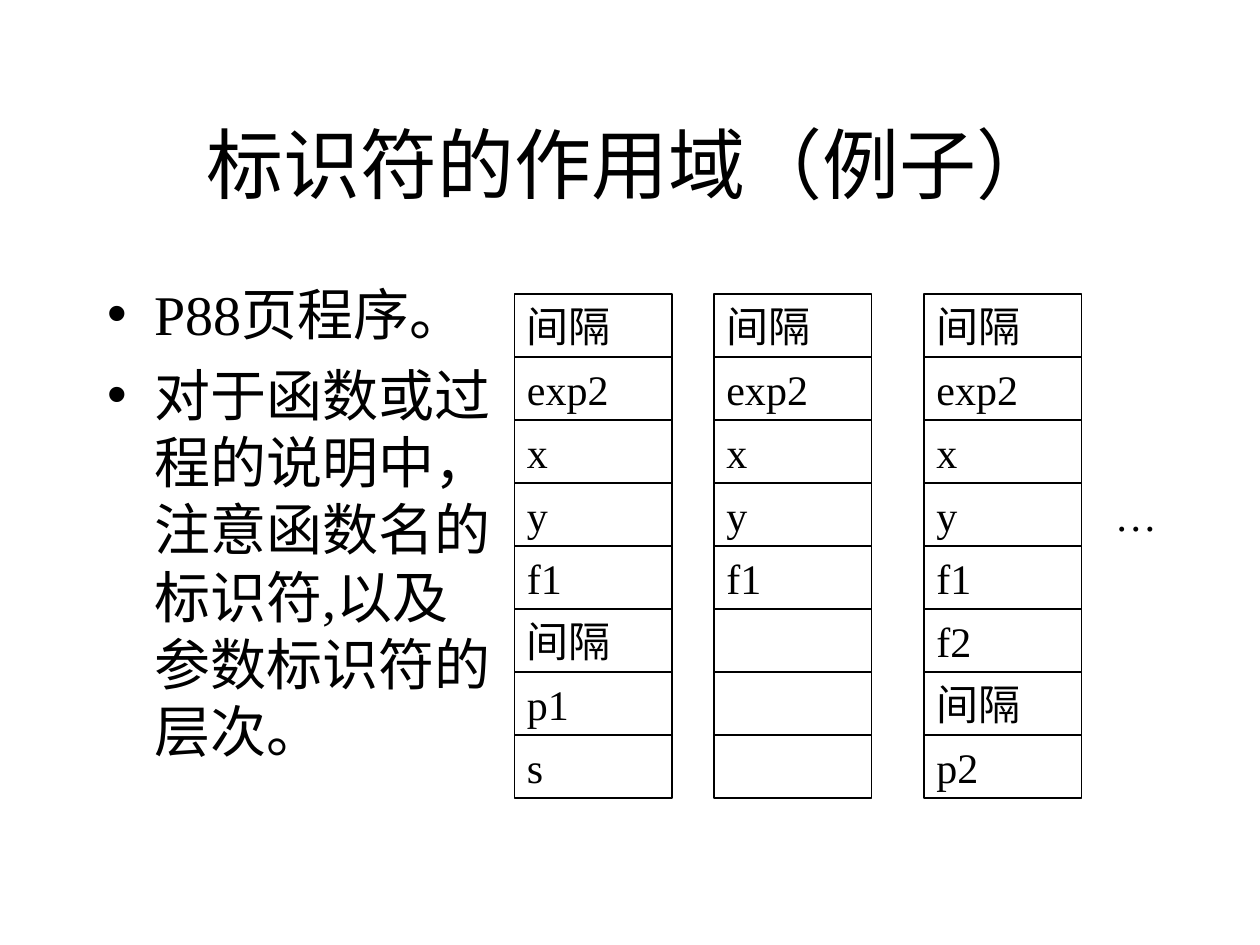
from dataclasses import dataclass
from pptx import Presentation
from pptx.dml.color import RGBColor
from pptx.enum.shapes import MSO_SHAPE
from pptx.enum.text import MSO_ANCHOR, MSO_AUTO_SIZE, PP_ALIGN
from pptx.util import Inches, Pt


@dataclass(frozen=True)
class Theme:
    ink: RGBColor = RGBColor(0, 0, 0)
    face: str = "Times New Roman"
    title: int = 44
    body: int = 32
    cell: int = 24
    line: float = 0.74


theme = Theme()
deck = Presentation()
deck.slide_width, deck.slide_height = Inches(10), Inches(7.5)
unit = deck.slide_width // 120  # grid of 120 columns by 90 rows


def place(shape, *box):
    """Set left, top, width and height in grid units."""
    for name, size in zip(("left", "top", "width", "height"), box):
        setattr(shape, name, size * unit)


def write(shape, lines, size, gap, align, anchor, fit):
    """Fill a shape with one formatted paragraph per line."""
    frame = shape.text_frame
    frame.text = "\n".join(lines)
    look = {"word_wrap": True, "auto_size": fit, "vertical_anchor": anchor}
    for name, value in look.items():
        setattr(frame, name, value)
    for para in frame.paragraphs:
        para.alignment, para.space_before = align, Pt(gap)
        for run in para.runs:
            run.font.name, run.font.size = theme.face, Pt(size)
            run.font.color.rgb = theme.ink


slide = deck.slides.add_slide(deck.slide_layouts[1])
title, body = slide.placeholders
place(title, 9, 8, 102, 15)
write(title, ["标识符的作用域（例子）"], theme.title, 0,
      PP_ALIGN.CENTER, MSO_ANCHOR.MIDDLE, MSO_AUTO_SIZE.NONE)
place(body, 9, 26, 40, 54)
write(body, ["P88页程序。", "对于函数或过程的说明中，注意函数名的标识符,以及参数标识符的层次。"],
      theme.body, 8, PP_ALIGN.LEFT, MSO_ANCHOR.TOP, MSO_AUTO_SIZE.NONE)

# Each stack lists its cells from top to bottom, keyed by its left column
base = ["间隔", "exp2", "x", "y", "f1"]
stacks = {
    49: base + ["间隔", "p1", "s"],
    68: base + ["", "", ""],
    88: base + ["f2", "间隔", "p2"],
}
top, wide, high = 28, 15, 6
style = {"size": theme.cell, "gap": 15, "align": PP_ALIGN.LEFT,
         "anchor": MSO_ANCHOR.TOP, "fit": MSO_AUTO_SIZE.SHAPE_TO_FIT_TEXT}

for left, names in stacks.items():
    stack = slide.shapes.add_group_shape()
    for row, name in enumerate(names):
        cell = stack.shapes.add_shape(MSO_SHAPE.RECTANGLE, 0, 0, unit, unit)
        place(cell, left, top + row * high, wide, high)
        cell.shadow.inherit = False
        cell.fill.background()
        cell.line.color.rgb, cell.line.width = theme.ink, Pt(theme.line)
        if name:
            write(cell, [name], **style)

more = slide.shapes.add_textbox(0, 0, unit, unit)
place(more, 105, top + 3 * high, 9, high)
write(more, ["… "], **style)

deck.save("out.pptx")
